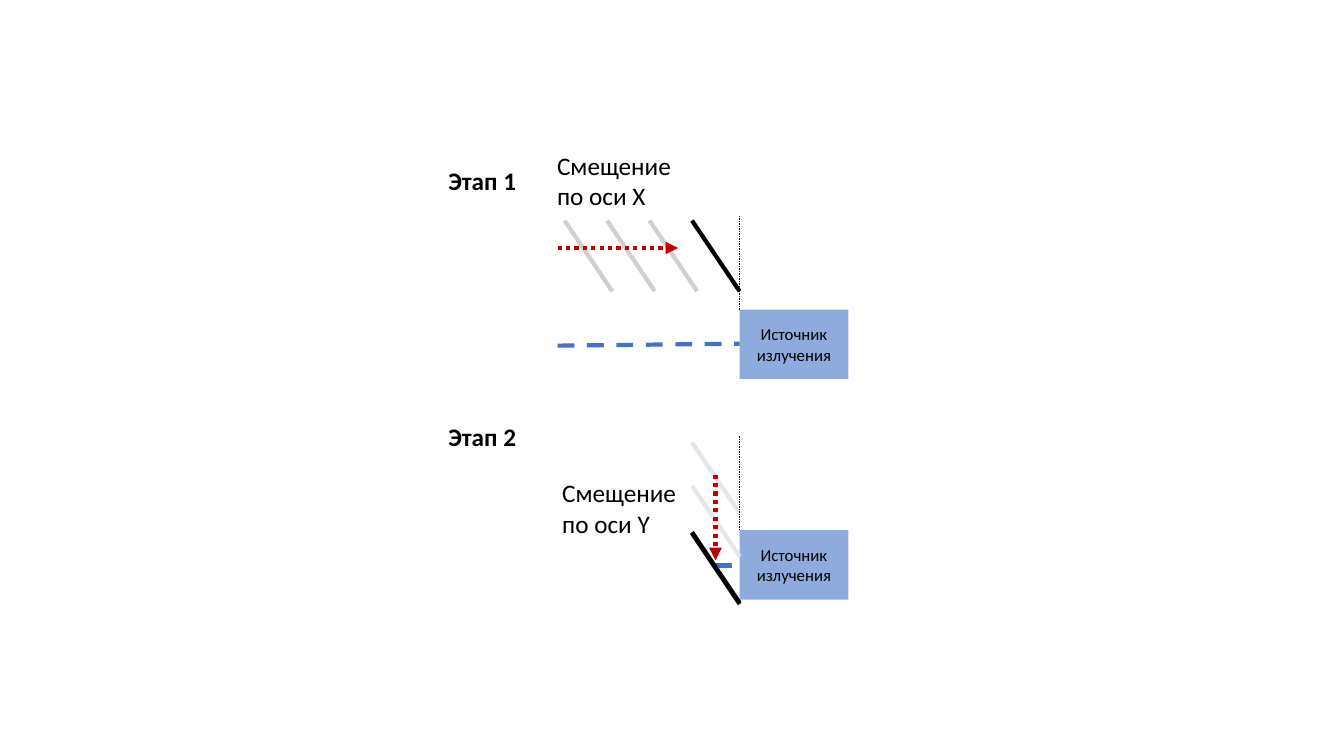
from lxml import etree
from pptx import Presentation
from pptx.dml.color import RGBColor
from pptx.enum.dml import MSO_LINE_DASH_STYLE as DASH
from pptx.enum.shapes import MSO_CONNECTOR, MSO_SHAPE
from pptx.enum.text import MSO_ANCHOR, MSO_AUTO_SIZE, PP_ALIGN
from pptx.oxml.ns import qn
from pptx.util import Cm, Pt

BLACK = RGBColor(0x00, 0x00, 0x00)
SOURCE_BLUE = RGBColor(0x8F, 0xAA, 0xDC)
BEAM_BLUE = RGBColor(0x44, 0x72, 0xC4)
SHIFT_RED = RGBColor(0xC0, 0x00, 0x00)
GREY = RGBColor(0xD0, 0xCE, 0xCE)
PALE_GREY = RGBColor(0xE7, 0xE6, 0xE6)
FONT = "Calibri"

# Layout in centimetres
SOURCE_X, SOURCE_W, SOURCE_H = 18.64, 2.74, 1.75
MIRROR_W, MIRROR_H = 1.2, 1.78
MIRROR_X = SOURCE_X - MIRROR_W
MIRROR_STEP = 1.07
EDGE_H = 2.38
TITLE_X, TITLE_W, TITLE_H = 11.05, 2.24, 1.02
SHIFT_W, SHIFT_H = 3.53, 1.8

# Content: mirrors are (x, y, colour), beam and arrow are (x1, y1, x2, y2)
SOURCE_TEXT = "Источник излучения"
STAGES = [
    {
        "title": "Этап 1", "title_y": 4.04,
        "shift": "Смещение по оси X", "shift_at": (13.79, 3.66),
        "source_y": 7.8,
        "beam": (14.05, 8.71, SOURCE_X, 8.66),
        "mirrors": [(MIRROR_X - n * MIRROR_STEP, 5.56, GREY if n else BLACK)
                    for n in (3, 2, 1, 0)],
        "arrow": (14.05, 6.25, 17.09, 6.25),
    },
    {
        "title": "Этап 2", "title_y": 10.49,
        "shift": "Смещение по оси Y", "shift_at": (13.92, 11.91),
        "source_y": 13.36,
        "beam": (18.03, 14.25, SOURCE_X, 14.25),
        "mirrors": [(MIRROR_X, 11.15, PALE_GREY), (MIRROR_X, 12.24, PALE_GREY),
                    (MIRROR_X, 13.41, BLACK), (MIRROR_X, 13.44, BLACK)],
        "arrow": (18.03, 11.96, 18.03, 14.12),
    },
]

prs = Presentation()
prs.slide_width, prs.slide_height = Cm(33.87), Cm(19.05)
slide = prs.slides.add_slide(prs.slide_layouts[6])


def add_line(ends, colour, width=3, dash=None, arrowhead=False):
    line = slide.shapes.add_connector(MSO_CONNECTOR.STRAIGHT, *map(Cm, ends))
    line.line.color.rgb = colour
    line.line.width = Pt(width)
    if dash:
        line.line.dash_style = dash
    properties = line._element.spPr
    if arrowhead:
        etree.SubElement(properties.find(qn("a:ln")), qn("a:tailEnd"), type="triangle")
    etree.SubElement(properties, qn("a:effectLst"))


def write(frame, text, size, bold=False):
    frame.text = text
    paragraph = frame.paragraphs[0]
    paragraph.font.name = FONT
    paragraph.font.size = Pt(size)
    paragraph.font.bold = bold
    paragraph.font.color.rgb = BLACK
    return paragraph


def add_label(text, box, wrap, bold=False):
    frame = slide.shapes.add_textbox(*map(Cm, box)).text_frame
    frame.word_wrap = wrap
    frame.auto_size = MSO_AUTO_SIZE.SHAPE_TO_FIT_TEXT
    write(frame, text, 18, bold)


def add_source(top):
    source = slide.shapes.add_shape(
        MSO_SHAPE.RECTANGLE, Cm(SOURCE_X), Cm(top), Cm(SOURCE_W), Cm(SOURCE_H))
    source.shadow.inherit = False
    source.fill.solid()
    source.fill.fore_color.rgb = SOURCE_BLUE
    source.line.fill.background()
    source.text_frame.word_wrap = True
    source.text_frame.vertical_anchor = MSO_ANCHOR.MIDDLE
    write(source.text_frame, SOURCE_TEXT, 12).alignment = PP_ALIGN.CENTER


for stage in STAGES:
    # Radiation source and its beam
    source_y = stage["source_y"]
    add_source(source_y)
    add_line(stage["beam"], BEAM_BLUE, dash=DASH.DASH)

    # Mirror positions and the edge line above the source
    for x, y, colour in stage["mirrors"]:
        add_line((x, y, x + MIRROR_W, y + MIRROR_H), colour)
    add_line((SOURCE_X, source_y, SOURCE_X, source_y - EDGE_H), BLACK, 0.25, DASH.DASH)

    # Shift direction
    add_line(stage["arrow"], SHIFT_RED, dash=DASH.ROUND_DOT, arrowhead=True)

    # Captions
    add_label(stage["shift"], (*stage["shift_at"], SHIFT_W, SHIFT_H), wrap=True)
    add_label(stage["title"], (TITLE_X, stage["title_y"], TITLE_W, TITLE_H),
              wrap=False, bold=True)

prs.save("out.pptx")
